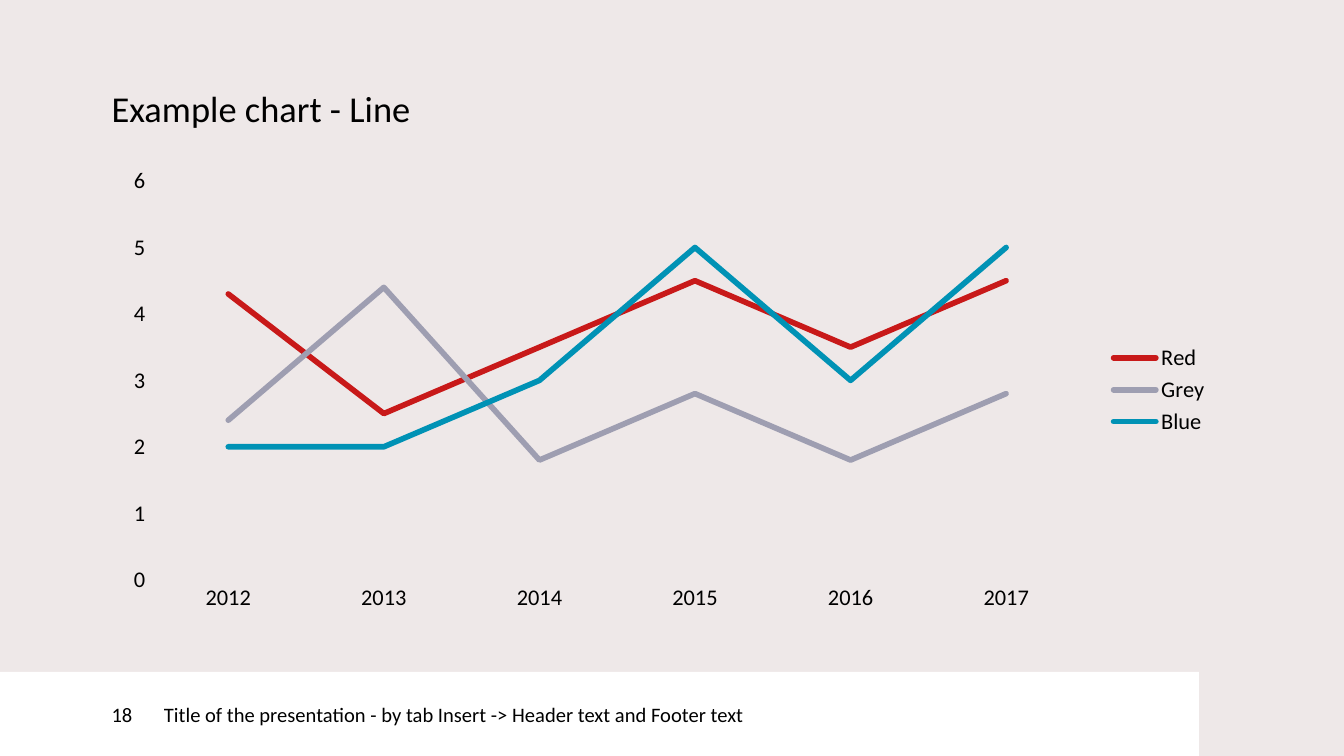
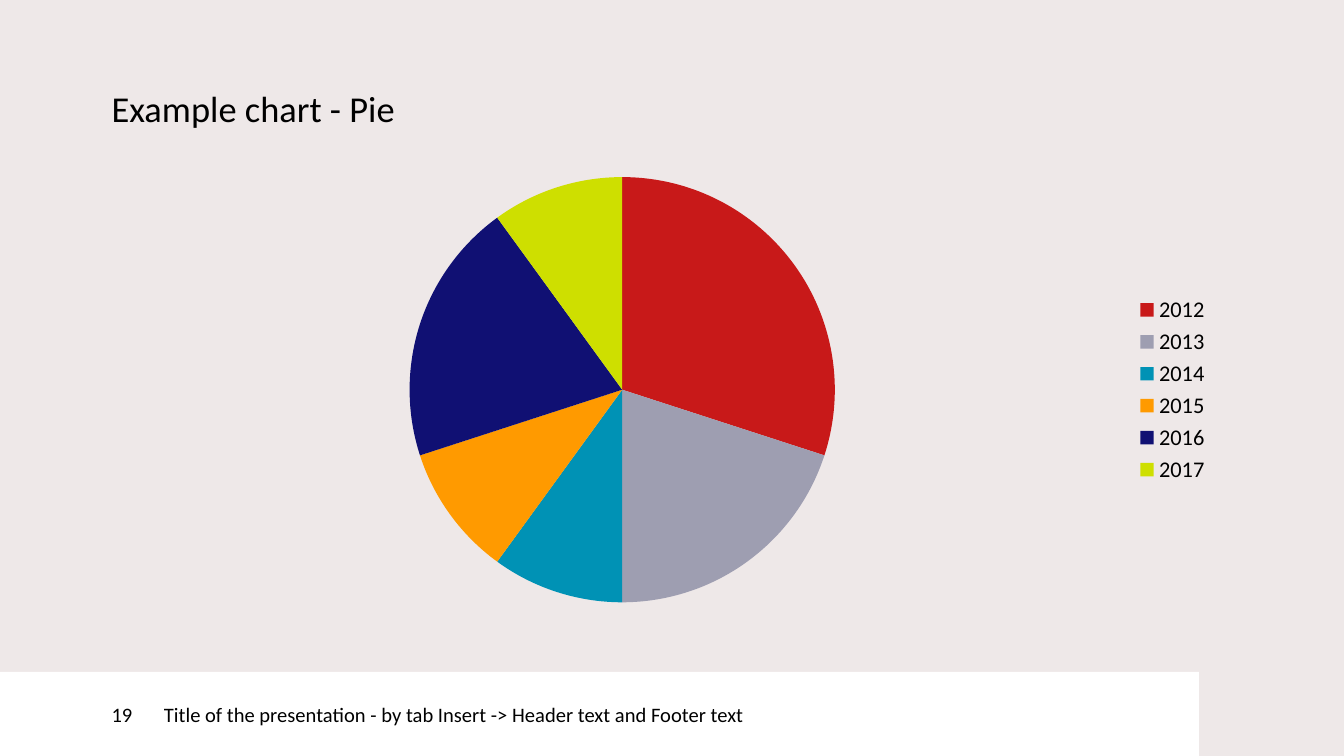
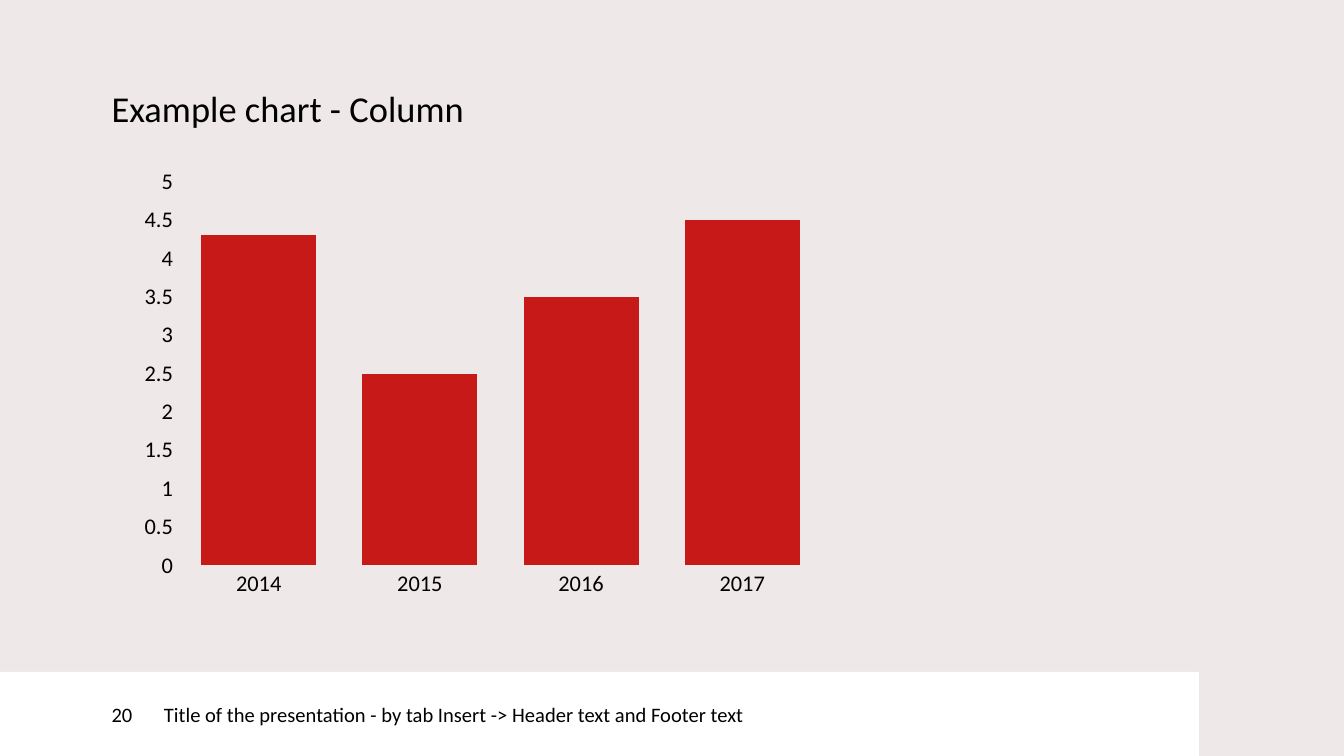
from pptx import Presentation
from pptx.chart.data import CategoryChartData
from pptx.dml.color import RGBColor
from pptx.enum import chart as charts, shapes, text
from pptx.oxml import parse_xml
from pptx.oxml.ns import nsdecls
from pptx.util import Inches, Pt

BLACK = RGBColor(0x00, 0x00, 0x00)
WHITE = RGBColor(0xFF, 0xFF, 0xFF)
BACKDROP = RGBColor(0xEE, 0xE8, 0xE8)
RED = RGBColor(0xC8, 0x19, 0x19)
GREY = RGBColor(0x9E, 0x9E, 0xB1)
BLUE = RGBColor(0x00, 0x92, 0xB5)
ORANGE = RGBColor(0xFF, 0x9A, 0x00)
NAVY = RGBColor(0x10, 0x10, 0x73)
LIME = RGBColor(0xCE, 0xDF, 0x00)
PALETTE = [RED, GREY, BLUE, ORANGE, NAVY, LIME]

FONT = "Calibri"
FOOTER = "Title of the presentation - by tab Insert -> Header text and Footer text"
FIRST_NUMBER = 18
SLIDE_HEIGHT = Inches(5.625)
MARGIN, CONTENT_WIDTH = Inches(0.83), Inches(8.27)
BAND_TOP, NUMBER_WIDTH, FOOTER_WIDTH = Inches(5), Inches(1.22), Inches(7.7)


class Deck:
    """Holds the shared style and the current slide."""

    def __init__(self):
        self.prs = Presentation()
        self.prs.slide_width, self.prs.slide_height = Inches(10), SLIDE_HEIGHT
        backdrop = self.prs.slide_master.background.fill
        backdrop.solid()
        backdrop.fore_color.rgb = BACKDROP
        self.slide = None

    def style_font(self, font, size):
        font.name, font.size, font.color.rgb = FONT, Pt(size), BLACK

    def set_text(self, shape, words, size, anchor, left=0):
        frame = shape.text_frame
        frame.text = words
        frame.vertical_anchor = anchor
        frame.margin_left = left
        frame.margin_top = frame.margin_right = frame.margin_bottom = 0
        paragraph = frame.paragraphs[0]
        paragraph.alignment = text.PP_ALIGN.LEFT
        self.style_font(paragraph.runs[0].font, size)
        return frame

    def start_slide(self, heading):
        self.slide = self.prs.slides.add_slide(self.prs.slide_layouts[5])
        title = self.slide.shapes.title
        title.left, title.top = MARGIN, Inches(0.64)
        title.width, title.height = CONTENT_WIDTH, Inches(0.56)
        frame = self.set_text(title, heading, 19.5, text.MSO_ANCHOR.TOP)
        frame.auto_size = text.MSO_AUTO_SIZE.NONE
        frame.word_wrap = False
        number = FIRST_NUMBER + len(self.prs.slides) - 1
        self.band(NUMBER_WIDTH, FOOTER_WIDTH, FOOTER)
        self.band(0, NUMBER_WIDTH, str(number), indent=MARGIN)

    def band(self, left, width, words, indent=0):
        band = self.slide.shapes.add_shape(
            shapes.MSO_SHAPE.RECTANGLE, left, BAND_TOP, width, SLIDE_HEIGHT - BAND_TOP)
        band.shadow.inherit = False
        band.fill.solid()
        band.fill.fore_color.rgb = WHITE
        band.line.fill.background()
        self.set_text(band, words, 11, text.MSO_ANCHOR.MIDDLE, indent)

    def chart(self, kind, categories, series, legend=True):
        data = CategoryChartData()
        data.categories = categories
        for name, values in series.items():
            data.add_series(name, values)
        chart = self.slide.shapes.add_chart(
            kind, MARGIN, Inches(1.18), CONTENT_WIDTH, Inches(3.44), data).chart
        chart.has_title = False
        self.style_font(chart.font, 10)
        chart.has_legend = legend
        if legend:
            chart.legend.position = charts.XL_LEGEND_POSITION.RIGHT
            chart.legend.include_in_layout = False
            self.style_font(chart.legend.font, 12)
        return chart

    def axes(self, chart, maximum, step):
        for axis in (chart.category_axis, chart.value_axis):
            axis.has_major_gridlines = False
            axis.major_tick_mark = axis.minor_tick_mark = charts.XL_TICK_MARK.NONE
            axis.format.line.fill.background()
            self.style_font(axis.tick_labels.font, 12)
        scale = chart.value_axis
        scale.minimum_scale, scale.maximum_scale, scale.major_unit = 0, maximum, step
        scale.tick_labels.number_format = "General"
        scale.tick_labels.number_format_is_linked = False

    def line_chart(self, categories, series, maximum, step):
        chart = self.chart(charts.XL_CHART_TYPE.LINE, categories, series)
        self.axes(chart, maximum, step)
        chart.plots[0].vary_by_categories = False
        for line, color in zip(chart.plots[0].series, PALETTE):
            line.smooth = False
            line.format.line.width = Pt(3)
            line.format.line.color.rgb = color
        for stroke in chart.element.xpath(".//c:ser/c:spPr/a:ln"):
            stroke.set("cap", "rnd")

    def pie_chart(self, categories, series):
        chart = self.chart(charts.XL_CHART_TYPE.PIE, categories, series)
        chart.plots[0].vary_by_categories = True
        shares = chart.plots[0].series[0]
        for index, color in enumerate(PALETTE):
            share = shares.points[index].format
            share.fill.solid()
            share.fill.fore_color.rgb = color

    def column_chart(self, categories, series, maximum, step, plot_area):
        chart = self.chart(
            charts.XL_CHART_TYPE.COLUMN_CLUSTERED, categories, series, legend=False)
        self.axes(chart, maximum, step)
        chart.plots[0].vary_by_categories = False
        chart.plots[0].gap_width = 40
        for columns, color in zip(chart.plots[0].series, PALETTE):
            columns.format.fill.solid()
            columns.format.fill.fore_color.rgb = color
        self.place_plot(chart, plot_area)

    def place_plot(self, chart, plot_area):
        area = chart.element.xpath(".//c:plotArea")[0]
        for layout in area.xpath("./c:layout"):
            area.remove(layout)
        modes = '<c:xMode val="edge"/><c:yMode val="edge"/>'
        sizes = "".join(f'<c:{key} val="{value}"/>' for key, value in zip("xywh", plot_area))
        area.insert(0, parse_xml(
            f'<c:layout {nsdecls("c")}><c:manualLayout><c:layoutTarget val="inner"/>'
            f"{modes}{sizes}</c:manualLayout></c:layout>"))


def main():
    deck = Deck()
    years = [str(year) for year in range(2012, 2018)]

    # Line chart
    deck.start_slide("Example chart - Line")
    deck.line_chart(years, {
        "Red": [4.3, 2.5, 3.5, 4.5, 3.5, 4.5],
        "Grey": [2.4, 4.4, 1.8, 2.8, 1.8, 2.8],
        "Blue": [2, 2, 3, 5, 3, 5],
    }, maximum=6, step=1)

    # Pie chart
    deck.start_slide("Example chart - Pie")
    deck.pie_chart(years, {"Series 1": [30, 20, 10, 10, 20, 10]})

    # Column chart, leaving the right side free
    deck.start_slide("Example chart - Column")
    deck.column_chart(years[2:], {"Series 1": [4.3, 2.5, 3.5, 4.5]},
                      maximum=5, step=0.5, plot_area=(0.06, 0.05, 0.58, 0.83))

    deck.prs.save("out.pptx")


if __name__ == "__main__":
    main()
